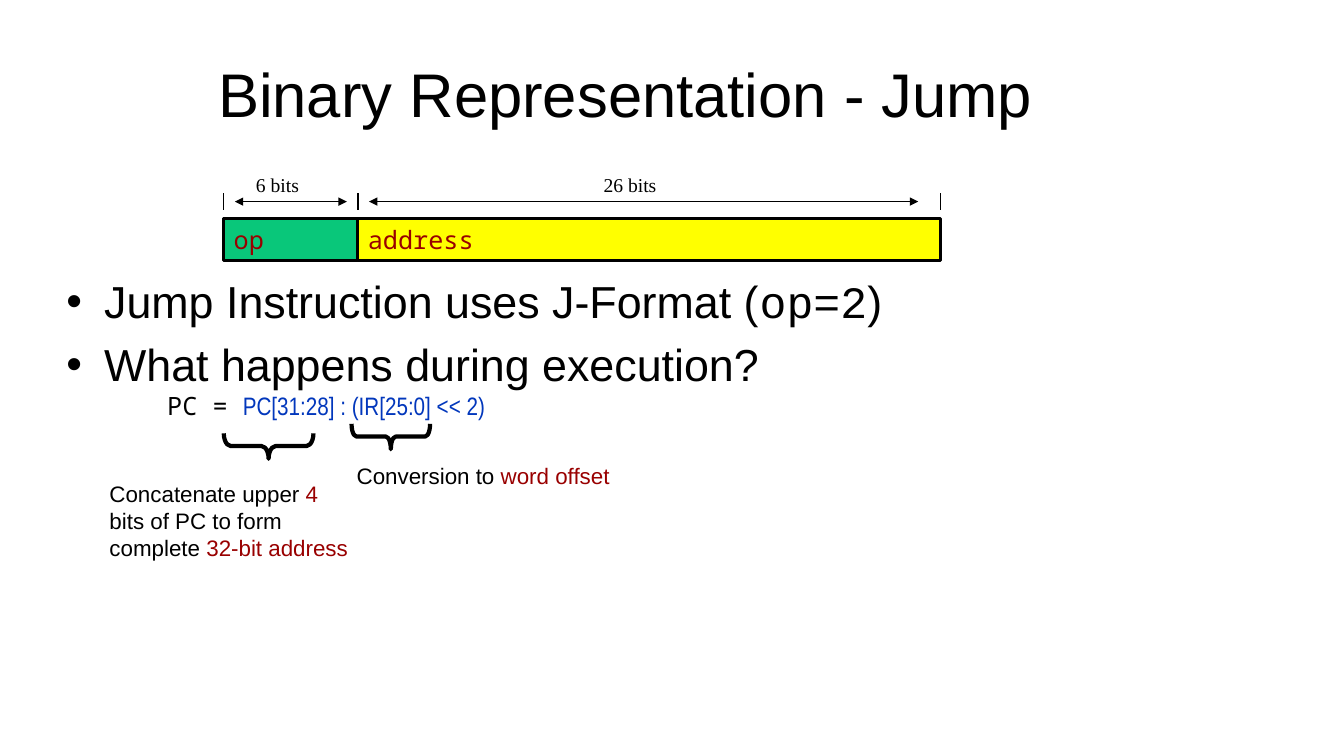
from lxml import etree
from pptx import Presentation
from pptx import util as u
from pptx.dml.color import RGBColor
from pptx.enum import shapes, text
from pptx.oxml.ns import qn

BLACK = RGBColor(0x00, 0x00, 0x00)
RED = RGBColor(0x99, 0x00, 0x00)
BLUE = RGBColor(0x02, 0x37, 0xBC)
GREEN = RGBColor(0x09, 0xC7, 0x7A)
YELLOW = RGBColor(0xFF, 0xFF, 0x00)
SANS, MONO, SERIF = "Arial", "Noto Sans Mono", "Times New Roman"

TITLE = "Binary Representation - Jump"
# Each text is a list of (words, format) spans; "\n" stands for a line break.
BULLETS = [
    [("Jump Instruction uses J-Format (", {}), ("op=2", {"font": "Courier New"}), (")", {})],
    [("What happens during execution?", {}), ("\n", {}),
     ("\tPC = ", {"font": MONO, "size": 18}),
     ("PC[31:28] : (IR[25:0] << 2)", {"font": "Arial Narrow", "size": 18, "color": BLUE})],
]
OFFSET_NOTE = [("Conversion to ", {}), ("word offset", {"color": RED})]
CONCATENATE_NOTE = [("Concatenate upper ", {}), ("4", {"color": RED}),
                    (" bits of PC to form complete ", {}), ("32-bit address", {"color": RED})]
# name, fill, width, gap right of the arrow, bit count, label left, label width (cm)
FIELDS = [
    ("op", GREEN, 3.38, 0.28, "6 bits", 6.2, 1.6),
    ("address", YELLOW, 14.68, 0.56, "26 bits", 14.96, 1.85),
]
FORMAT_LEFT, FORMAT_TOP, FORMAT_HEIGHT = 5.64, 5.5, 1.07
TICK_TOP, ARROW_Y, TICK_BOTTOM = 4.87, 5.08, 5.29
ARROW_GAP = 0.28
LABEL_TOP, LABEL_HEIGHT = 4.23, 0.86
BULLET_INDENT, FORMULA_TAB = 0.95, 2.54


def cm(*lengths):
    return [u.Cm(length) for length in lengths]


def write(para, words, font=SANS, size=16, color=BLACK):
    if words == "\n":
        para.add_line_break()
        return
    span = para.add_run()
    span.text = words
    span.font.name, span.font.size = font, u.Pt(size)
    span.font.color.rgb = color


def write_spans(para, spans, **defaults):
    for words, style in spans:
        write(para, words, **{**defaults, **style})


def add_text(parent, spans, left, top, width, height, wrap=True,
             anchor=text.MSO_ANCHOR.MIDDLE, **style):
    box = parent.add_textbox(*cm(left, top, width, height))
    frame = box.text_frame
    frame.word_wrap, frame.vertical_anchor = wrap, anchor
    frame.auto_size = text.MSO_AUTO_SIZE.SHAPE_TO_FIT_TEXT
    write_spans(frame.paragraphs[0], spans, **style)


def add_line(parent, x1, y1, x2, y2, arrows=False):
    line = parent.add_connector(shapes.MSO_CONNECTOR.STRAIGHT, *cm(x1, y1, x2, y2))
    line.line.color.rgb, line.line.width = BLACK, u.Pt(1)
    if arrows:
        for end in ("a:headEnd", "a:tailEnd"):
            etree.SubElement(line.line._get_or_add_ln(), qn(end), type="triangle")
    etree.SubElement(line._element.spPr, qn("a:effectLst"))


def add_field(parent, name, fill, left, width):
    box = parent.add_shape(shapes.MSO_SHAPE.RECTANGLE,
                           *cm(left, FORMAT_TOP, width, FORMAT_HEIGHT))
    box.shadow.inherit = False
    box.fill.solid()
    box.fill.fore_color.rgb = fill
    box.line.color.rgb, box.line.width = BLACK, u.Pt(2.25)
    frame = box.text_frame
    frame.word_wrap, frame.vertical_anchor = False, text.MSO_ANCHOR.MIDDLE
    para = frame.paragraphs[0]
    para.alignment = text.PP_ALIGN.LEFT
    write(para, name, font=MONO, size=18, color=RED)


def add_brace(parent, left, top, width, height, curve):
    """Add a brace that is turned to point down."""
    brace = parent.add_shape(shapes.MSO_SHAPE.LEFT_BRACE, *cm(left, top, width, height))
    brace.rotation = 270
    brace.adjustments[0] = curve
    brace.shadow.inherit = False
    brace.fill.background()
    brace.line.color.rgb, brace.line.width = BLACK, u.Pt(3)


def place(holder, left, top, width, height):
    holder.left, holder.top, holder.width, holder.height = cm(left, top, width, height)
    holder.text_frame.auto_size = text.MSO_AUTO_SIZE.NONE
    return holder.text_frame


def add_title(page):
    frame = place(page.shapes.title, 1.7, 0.76, 28.14, 3.18)
    frame.vertical_anchor = text.MSO_ANCHOR.MIDDLE
    para = frame.paragraphs[0]
    para.alignment = text.PP_ALIGN.CENTER
    write(para, TITLE, size=44)


def add_bullets(page):
    frame = place(page.placeholders[1], 1.42, 6.78, 29.9, 10.59)
    for index, spans in enumerate(BULLETS):
        para = frame.add_paragraph() if index else frame.paragraphs[0]
        props = para._p.get_or_add_pPr()
        props.set("marL", str(u.Cm(BULLET_INDENT)))
        props.set("indent", str(-u.Cm(BULLET_INDENT)))
        etree.SubElement(props, qn("a:buChar"), char="•")
        tabs = etree.SubElement(props, qn("a:tabLst"))
        etree.SubElement(tabs, qn("a:tab"), pos=str(u.Cm(FORMULA_TAB)), algn="l")
        para.space_before = u.Pt(6.4 if index else 0)
        write_spans(para, spans, size=32)


def add_format(page):
    """Draw the instruction fields with their bit counts."""
    group = page.shapes.add_group_shape().shapes
    left = FORMAT_LEFT
    add_line(group, left, TICK_BOTTOM, left, TICK_TOP)
    for name, fill, width, end_gap, bits, label_left, label_width in FIELDS:
        right = left + width
        add_field(group, name, fill, left, width)
        add_line(group, left + ARROW_GAP, ARROW_Y, right - end_gap, ARROW_Y, arrows=True)
        add_line(group, right, TICK_BOTTOM, right, TICK_TOP)
        add_text(group, [(bits, {})], label_left, LABEL_TOP, label_width, LABEL_HEIGHT,
                 wrap=False, anchor=text.MSO_ANCHOR.TOP, font=SERIF, size=14)
        left = right


def main():
    deck = Presentation()
    deck.slide_width, deck.slide_height = cm(33.87, 19.05)
    page = deck.slides.add_slide(deck.slide_layouts[1])
    add_title(page)
    add_bullets(page)
    add_format(page)
    offset = page.shapes.add_group_shape().shapes
    add_text(offset, OFFSET_NOTE, 8.74, 11.51, 12.32, 0.94)
    add_brace(offset, 9.53, 10.01, 0.64, 1.98, 0.194)
    add_brace(page.shapes, 6.45, 10.11, 0.64, 2.26, 0.275)
    add_text(page.shapes, CONCATENATE_NOTE, 2.51, 11.96, 6.78, 2.31)
    deck.save("out.pptx")


if __name__ == "__main__":
    main()
